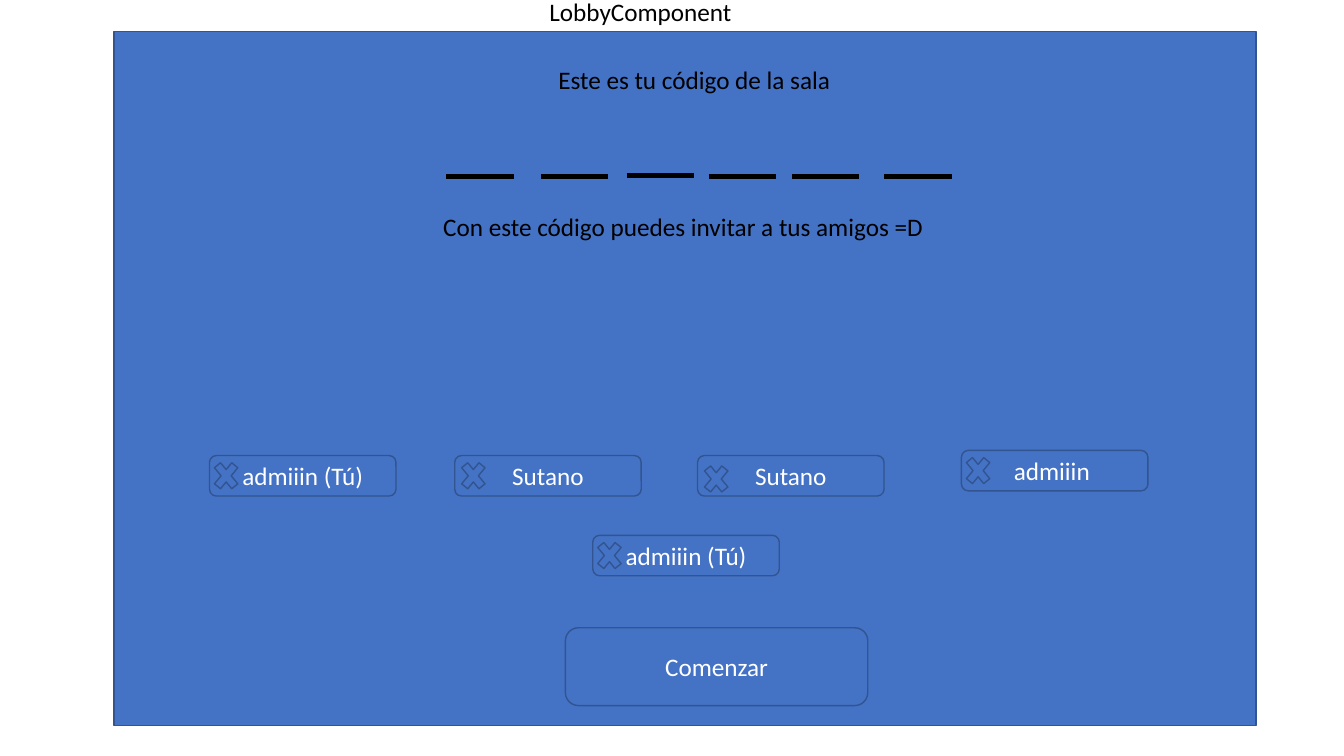
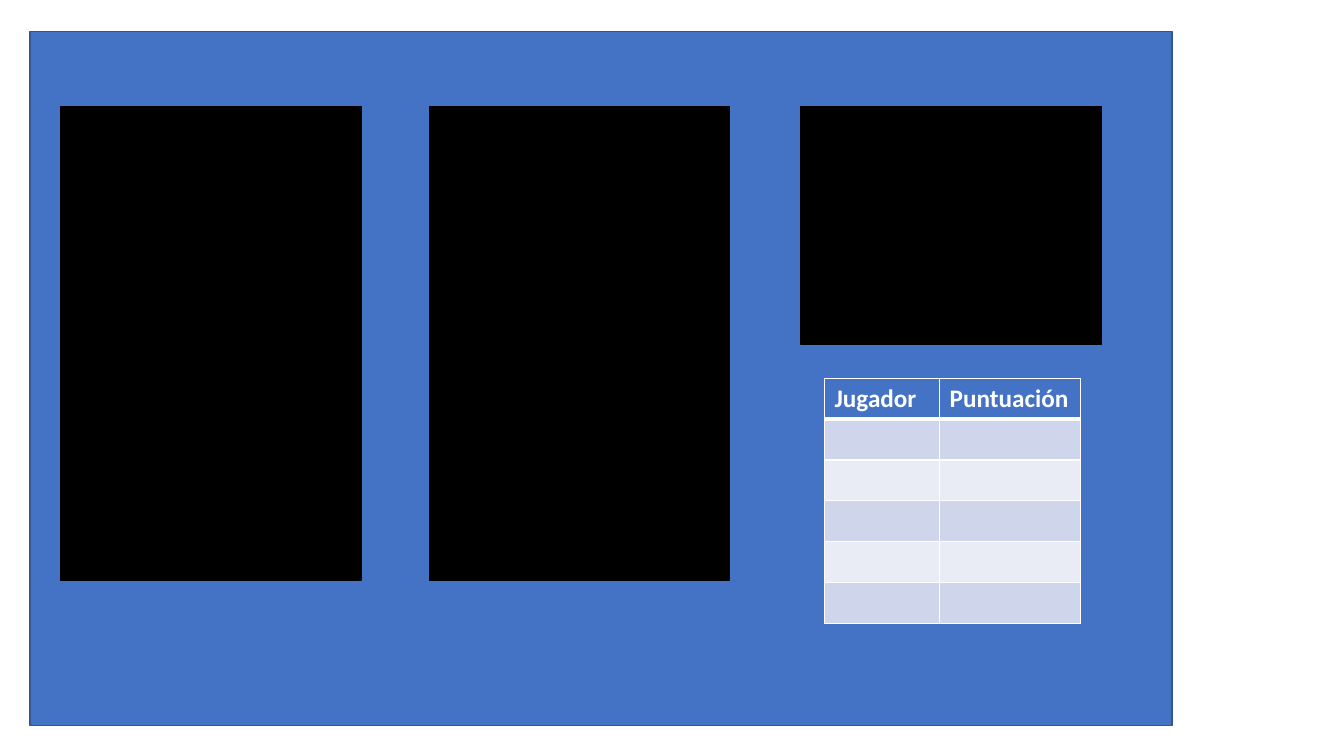
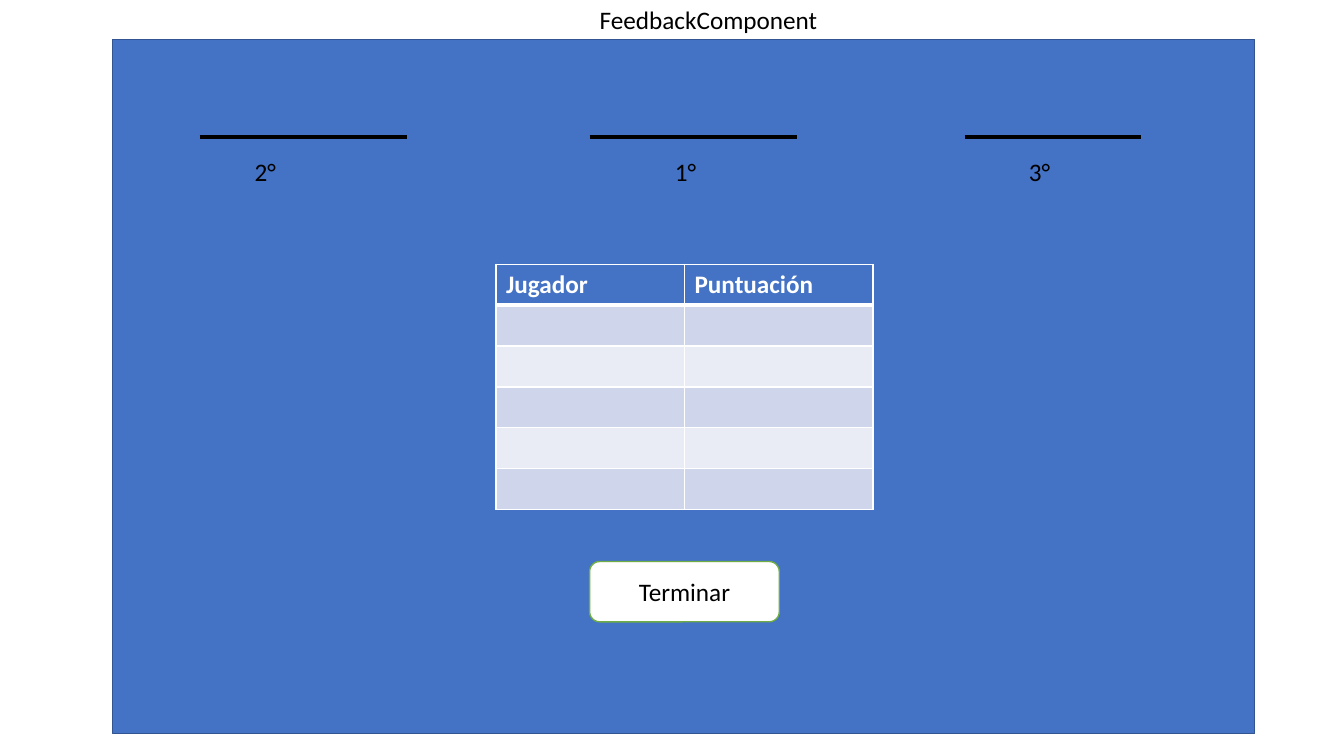
from lxml import etree
from pptx import Presentation
from pptx.dml.color import RGBColor
from pptx.enum.shapes import MSO_CONNECTOR, MSO_SHAPE
from pptx.enum.text import MSO_ANCHOR, MSO_AUTO_SIZE, PP_ALIGN
from pptx.oxml.ns import qn
from pptx.util import Cm, Pt

RECT = MSO_SHAPE.RECTANGLE
ROUNDED = MSO_SHAPE.ROUNDED_RECTANGLE
CROSS = MSO_SHAPE.MATH_MULTIPLY
STRAIGHT = MSO_CONNECTOR.STRAIGHT
CENTER, LEFT = PP_ALIGN.CENTER, PP_ALIGN.LEFT
MIDDLE, TOP = MSO_ANCHOR.MIDDLE, MSO_ANCHOR.TOP
FIT = MSO_AUTO_SIZE.SHAPE_TO_FIT_TEXT
TITLE_ONLY, BLANK = 5, 6

BLUE = RGBColor(0x44, 0x72, 0xC4)
DARK_BLUE = RGBColor(0x32, 0x54, 0x91)
GREEN = RGBColor(0x70, 0xAD, 0x47)
BLACK = RGBColor(0x00, 0x00, 0x00)
WHITE = RGBColor(0xFF, 0xFF, 0xFF)
BAND_DARK = RGBColor(0xCF, 0xD5, 0xEA)
BAND_LIGHT = RGBColor(0xE9, 0xEB, 0xF5)

FONT, SIZE = "Calibri", Pt(18)
TEXT_H = 1.02
ROW_H = 1.03
PLAYER_W = 4.7
CROSS_W = 0.84
DASH_W = 1.7


class Deck:
    """Shared style and the slide being filled; lengths are in centimetres."""

    def __init__(self):
        self.prs = Presentation()
        self.prs.slide_width, self.prs.slide_height = Cm(33.87), Cm(19.05)
        self.s = None

    def slide(self, panel_x, panel_y, layout=TITLE_ONLY):
        self.s = self.prs.slides.add_slide(self.prs.slide_layouts[layout])
        self.shape(RECT, panel_x, panel_y, 28.78, 17.5)

    def set_text(self, tf, text, color, align=LEFT, bold=False):
        tf.text = text
        p = tf.paragraphs[0]
        p.alignment = align
        for r in p.runs:
            r.font.name, r.font.size, r.font.bold = FONT, SIZE, bold
            r.font.color.rgb = color

    def label(self, sp, text):
        """Put one unwrapped line of black text in a box or placeholder."""
        tf = sp.text_frame
        self.set_text(tf, text, BLACK)
        tf.word_wrap, tf.auto_size, tf.vertical_anchor = False, FIT, TOP

    def title(self, text, x, y, w):
        sp = self.s.shapes.title
        sp.left, sp.top, sp.width, sp.height = Cm(x), Cm(y), Cm(w), Cm(TEXT_H)
        self.label(sp, text)

    def text(self, text, x, y, w):
        sp = self.s.shapes.add_textbox(Cm(x), Cm(y), Cm(w), Cm(TEXT_H))
        self.label(sp, text)

    def shape(self, kind, x, y, w, h, text="", fill=BLUE, line=DARK_BLUE, color=WHITE):
        sp = self.s.shapes.add_shape(kind, Cm(x), Cm(y), Cm(w), Cm(h))
        sp.shadow.inherit = False
        sp.fill.solid()
        sp.fill.fore_color.rgb = fill
        sp.line.color.rgb, sp.line.width = line, Pt(1)
        if text:
            self.set_text(sp.text_frame, text, color, CENTER)
            sp.text_frame.vertical_anchor = MIDDLE

    def player(self, name, x, y, dx=0, dy=0):
        """Draw a player's button; dx and dy shift its remove cross."""
        self.shape(ROUNDED, x, y, PLAYER_W, TEXT_H, name)
        self.shape(CROSS, x + dx, y + dy, CROSS_W, TEXT_H)

    def rule(self, x, y, w):
        line = self.s.shapes.add_connector(STRAIGHT, Cm(x), Cm(y), Cm(x + w), Cm(y))
        line.line.color.rgb, line.line.width = BLACK, Pt(3)
        etree.SubElement(line._element.spPr, qn("a:effectLst"))

    def borders(self, cell, top, bottom):
        tcPr = cell._tc.get_or_add_tcPr()
        for side, width in (("L", 1), ("R", 1), ("T", top), ("B", bottom)):
            ln = etree.SubElement(tcPr, qn(f"a:ln{side}"), w=str(Pt(width)))
            fill = etree.SubElement(ln, qn("a:solidFill"))
            etree.SubElement(fill, qn("a:srgbClr"), val=str(WHITE))

    def score_table(self, x, y, widths, rows=6):
        table = self.s.shapes.add_table(
            rows, len(widths), Cm(x), Cm(y), Cm(sum(widths)), Cm(ROW_H * rows)).table
        for column, width in zip(table.columns, widths):
            column.width = Cm(width)
        for i, row in enumerate(table.rows):
            row.height = Cm(ROW_H)
            color = BLUE if i == 0 else BAND_DARK if i % 2 else BAND_LIGHT
            for cell in row.cells:
                self.borders(cell, 3 if i == 1 else 1, 3 if i == 0 else 1)
                cell.fill.solid()
                cell.fill.fore_color.rgb = color
        for cell, text in zip(table.rows[0].cells, ("Jugador", "Puntuación")):
            self.set_text(cell.text_frame, text, WHITE, bold=True)


def lobby(d):
    d.slide(2.87, 0.79)
    d.title("LobbyComponent", 13.59, -0.23, 5.16)
    d.text("Este es tu código de la sala", 13.82, 1.5, 7.44)
    d.text("Con este código puedes invitar a tus amigos =D", 10.92, 5.21, 12.7)
    for x, y in ((11.25, 4.45), (13.63, 4.45), (15.8, 4.42),
                 (17.86, 4.45), (19.95, 4.45), (22.28, 4.45)):
        d.rule(x, y, DASH_W)
    d.player("admiiin (Tú)", 5.28, 11.48)
    d.player("Sutano", 11.46, 11.48, dx=0.05)
    d.player("Sutano", 17.58, 11.48, dx=0.05, dy=0.08)
    d.player("admiiin (Tú)", 14.94, 13.49)
    d.player("admiiin ", 24.23, 11.35)
    d.shape(ROUNDED, 14.25, 15.82, 7.62, 1.96, "Comenzar")


def game(d):
    d.slide(0.76, 0.79, BLANK)
    for x, h in ((1.53, 11.94), (10.82, 11.94), (20.19, 5.99)):
        d.shape(RECT, x, 2.69, 7.57, h, fill=BLACK, line=BLACK)
    d.score_table(20.78, 9.53, (2.9, 3.54))


def feedback(d):
    d.slide(2.84, 0.99)
    d.title("FeedbackComponent", 14.86, -0.03, 6.07)
    for place, text_x, line_x, line_w in (("2°", 6.17, 5.03, 5.22),
                                          ("1°", 16.76, 14.86, 5.22),
                                          ("3°", 25.68, 24.31, 4.44)):
        d.text(place, text_x, 3.81, 1.07)
        d.rule(line_x, 3.45, line_w)
    d.score_table(12.5, 6.66, (4.75, 4.75))
    d.shape(ROUNDED, 14.86, 14.15, 4.78, 1.52, "Terminar", WHITE, GREEN, BLACK)


def main():
    d = Deck()
    lobby(d)
    game(d)
    feedback(d)
    d.prs.save("out.pptx")


if __name__ == "__main__":
    main()
